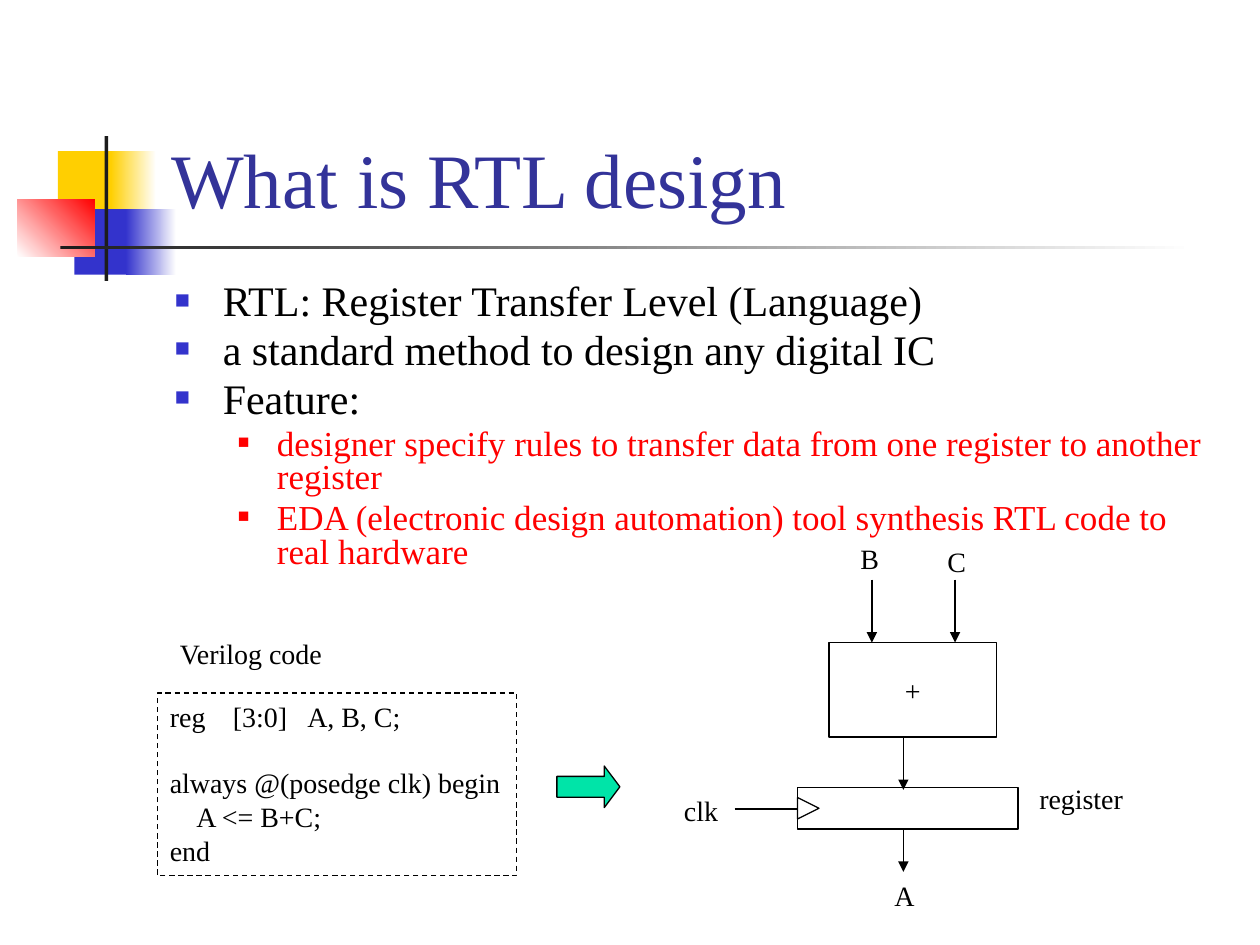
from lxml import etree
from pptx import Presentation
from pptx.dml.color import RGBColor
from pptx.enum import dml, shapes, text
from pptx.oxml import ns
from pptx.util import Emu, Inches, Pt

W, H = 10, 7.5
FACE = "Times New Roman"
HUE = {"gold": "FFCF01", "blue": "3333CC", "red": "FF0000", "dark": "1C1C1C",
       "white": "FFFFFF", "black": "000000", "title": "333399", "green": "00E4A8"}
KIND = shapes.MSO_SHAPE

# left, top, width, height, colours (one: solid, two: gradient), angle
DECOR = [
    (0.46, 1.2, 0.48, 0.52, ["gold"], 0),
    (0.88, 1.2, 0.36, 0.52, ["gold", "white"], 0),
    (0.59, 1.66, 0.46, 0.52, ["blue"], 0),
    (1, 1.66, 0.4, 0.52, ["blue", "white"], 0),
    (0.14, 1.58, 0.61, 0.46, ["white", "red"], 45),
    (0.83, 1.08, 0.03, 1.15, ["dark"], 0),
    (0.48, 1.95, 9, 0.03, ["dark", "white"], 0),
]
TITLE = "What is RTL design"
POINTS = [
    (0, "RTL: Register Transfer Level (Language)"),
    (0, "a standard method to design any digital IC"),
    (0, "Feature:"),
    (1, "designer specify rules to transfer data from one register to another register"),
    (1, "EDA (electronic design automation) tool synthesis RTL code to real hardware"),
]
# size, colour, bullet colour, bullet share, indent, hang
LEVELS = [(24, "black", "blue", 60, 0.38, 0.38), (20, "red", "red", 55, 0.81, 0.31)]
# text, left indent, points before
CODE = [("reg\t[3:0]\tA, B, C;", 0, 0), ("always @(posedge clk) begin", 0, 19),
        ("A <= B+C;", 0.21, 0), ("end", 0, 0)]
TABS = [0.5, 1.09]
LABELS = [("Verilog code", 1.33, 5, 1.36), ("B", 6.73, 4.25, 0.35),
          ("C", 7.42, 4.27, 0.35), ("A", 7, 6.92, 0.36),
          ("clk", 5.33, 6.25, 0.47), ("register", 8.15, 6.15, 0.87)]
ADDER = (6.58, 5.1, 1.33, 0.75)
STORE = (6.33, 6.25, 1.75, 0.33)
CLOCK = (6.33, 6.33, 0.17, 0.17)
MID = 7.17
# from x, y, to x, y, arrowhead
WIRES = [(6.92, 4.6, 6.92, 5.1, True), (7.58, 4.6, 7.58, 5.1, True),
         (MID, 5.85, MID, 6.27, True), (MID, 6.58, MID, 6.92, True),
         (5.83, 6.42, 6.33, 6.42, False)]

deck = Presentation()
deck.slide_width, deck.slide_height = Inches(W), Inches(H)
slide = deck.slides.add_slide(deck.slide_layouts[5])
parts = slide.shapes


def rgb(name):
    """Return the named colour."""
    return RGBColor.from_string(HUE[name])


def box(spot):
    """Turn inches into lengths."""
    return [Inches(v) for v in spot]


def node(parent, tag, **attrs):
    """Append a drawing element."""
    return etree.SubElement(parent, ns.qn("a:" + tag), attrs)


def style(para, size, hue="black"):
    """Set the font of a paragraph and its runs."""
    for font in (para.font, *(r.font for r in para.runs)):
        font.name, font.size = FACE, Pt(size)
        font.color.rgb = rgb(hue)


def shape(kind, spot, hues=(), angle=0, line=True):
    """Add a preset shape with plain, graded or no fill."""
    item = parts.add_shape(kind, *box(spot))
    item.shadow.inherit = False
    if len(hues) == 2:
        item.fill.gradient()
        item.fill.gradient_angle = angle
        for stop, hue, pos in zip(item.fill.gradient_stops, hues, (0, 1)):
            stop.color.rgb, stop.position = rgb(hue), pos
    elif hues:
        item.fill.solid()
        item.fill.fore_color.rgb = rgb(hues[0])
    else:
        item.fill.background()
    if line:
        item.line.color.rgb, item.line.width = rgb("black"), Pt(0.75)
    else:
        item.line.fill.background()
    return item


def write(item, words, wrap=False, anchor="TOP", align="LEFT"):
    """Fill a frame with paragraphs and return them."""
    frame = item.text_frame
    frame.word_wrap = wrap
    frame.vertical_anchor = getattr(text.MSO_ANCHOR, anchor)
    frame.text = "\n".join(words)
    for para in frame.paragraphs:
        para.alignment = getattr(text.PP_ALIGN, align)
    return frame.paragraphs


def wire(x1, y1, x2, y2, head):
    """Draw a straight wire."""
    line = parts.add_connector(shapes.MSO_CONNECTOR.STRAIGHT, *box((x1, y1, x2, y2)))
    line.line.color.rgb, line.line.width = rgb("black"), Pt(0.75)
    if head:
        node(line.line._get_or_add_ln(), "tailEnd", type="triangle")
    node(line._element.spPr, "effectLst")


for *spot, hues, angle in DECOR:
    shape(KIND.RECTANGLE, spot, hues, angle, line=False)

title = parts.title
title.left, title.top, title.width, title.height = box((1.26, 0.23, 8.52, 1.6))
style(write(title, [TITLE], True, "BOTTOM")[0], 44, "title")
title.text_frame.auto_size = text.MSO_AUTO_SIZE.NONE

body = parts.add_textbox(*box((1.29, 2.21, 8.5, 2.54)))
for para, (level, _) in zip(write(body, [w for _, w in POINTS], True), POINTS):
    size, hue, mark, share, left, hang = LEVELS[level]
    para.level, para.line_spacing, para.space_before = level, 0.8, Pt(size * 0.2)
    props = para._p.get_or_add_pPr()
    props.set("marL", str(Inches(left)))
    props.set("indent", str(-Inches(hang)))
    node(node(props, "buClr"), "srgbClr", val=HUE[mark])
    node(props, "buSzPct", val=str(share * 1000))
    node(props, "buFont", typeface=FACE)
    node(props, "buChar", char="■")
    style(para, size, hue)

code = shape(KIND.RECTANGLE, (1.25, 5.5, 2.85, 1.45))
code.line.dash_style = dml.MSO_LINE.DASH
for para, (_, left, gap) in zip(write(code, [c[0] for c in CODE]), CODE):
    para.space_before = Pt(gap)
    props = para._p.get_or_add_pPr()
    props.set("marL", str(Inches(left)))
    stops = node(props, "tabLst")
    for tab in TABS:
        node(stops, "tab", pos=str(Inches(tab)), algn="l")
    style(para, 16)

adder = shape(KIND.RECTANGLE, ADDER)
style(write(adder, ["+"], anchor="MIDDLE", align="CENTER")[0], 16)
shape(KIND.RECTANGLE, STORE)
shape(KIND.ISOSCELES_TRIANGLE, CLOCK).rotation = 90
for ends in WIRES:
    wire(*ends)
for words, left, top, width in LABELS:
    style(write(parts.add_textbox(*box((left, top, width, 0.37))), [words])[0], 16)

arrow = shape(KIND.RIGHT_ARROW, (4.42, 6.08, 0.5, 0.33), ["green"])
arrow.adjustments[1] = 0.375

deck.save("out.pptx")
